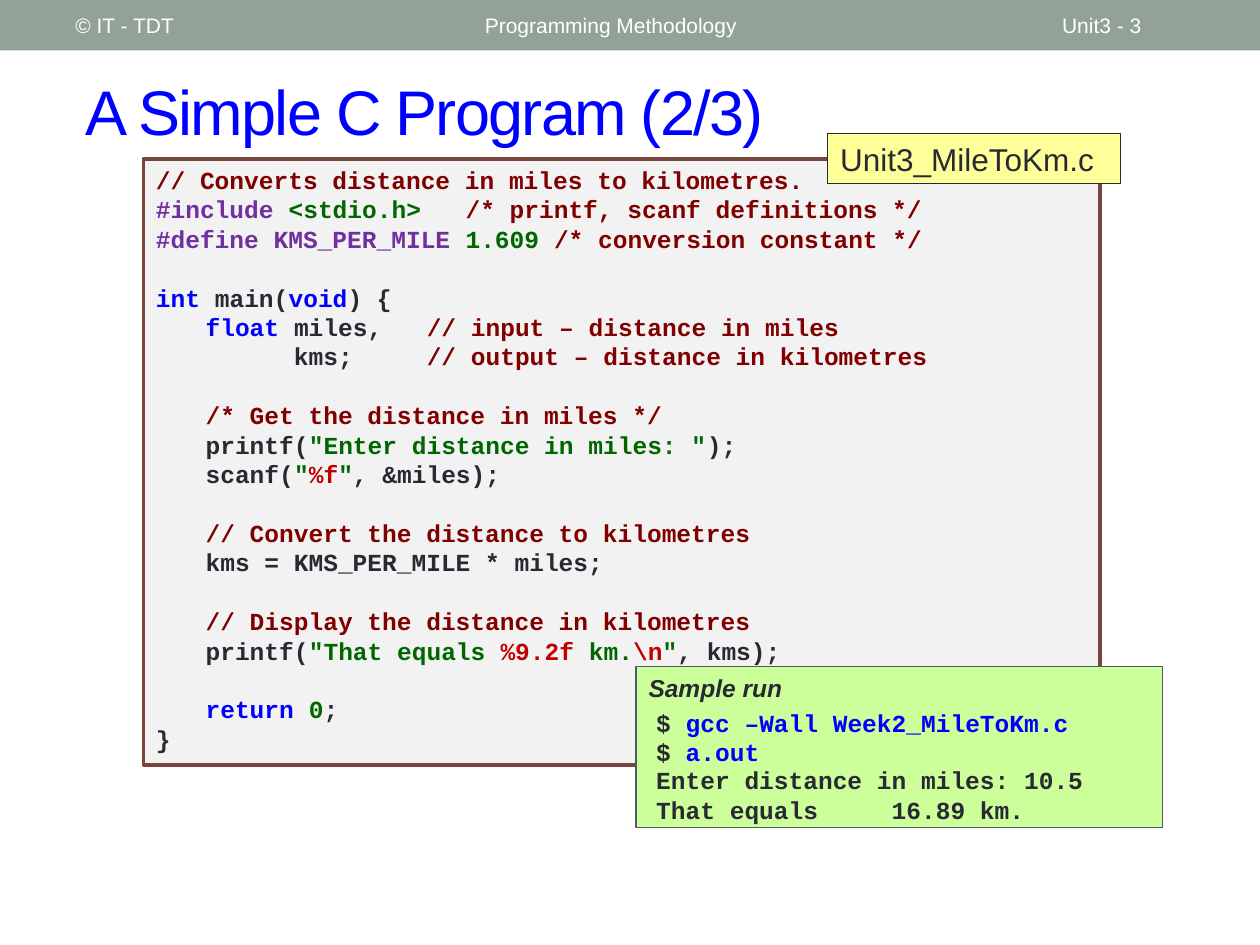
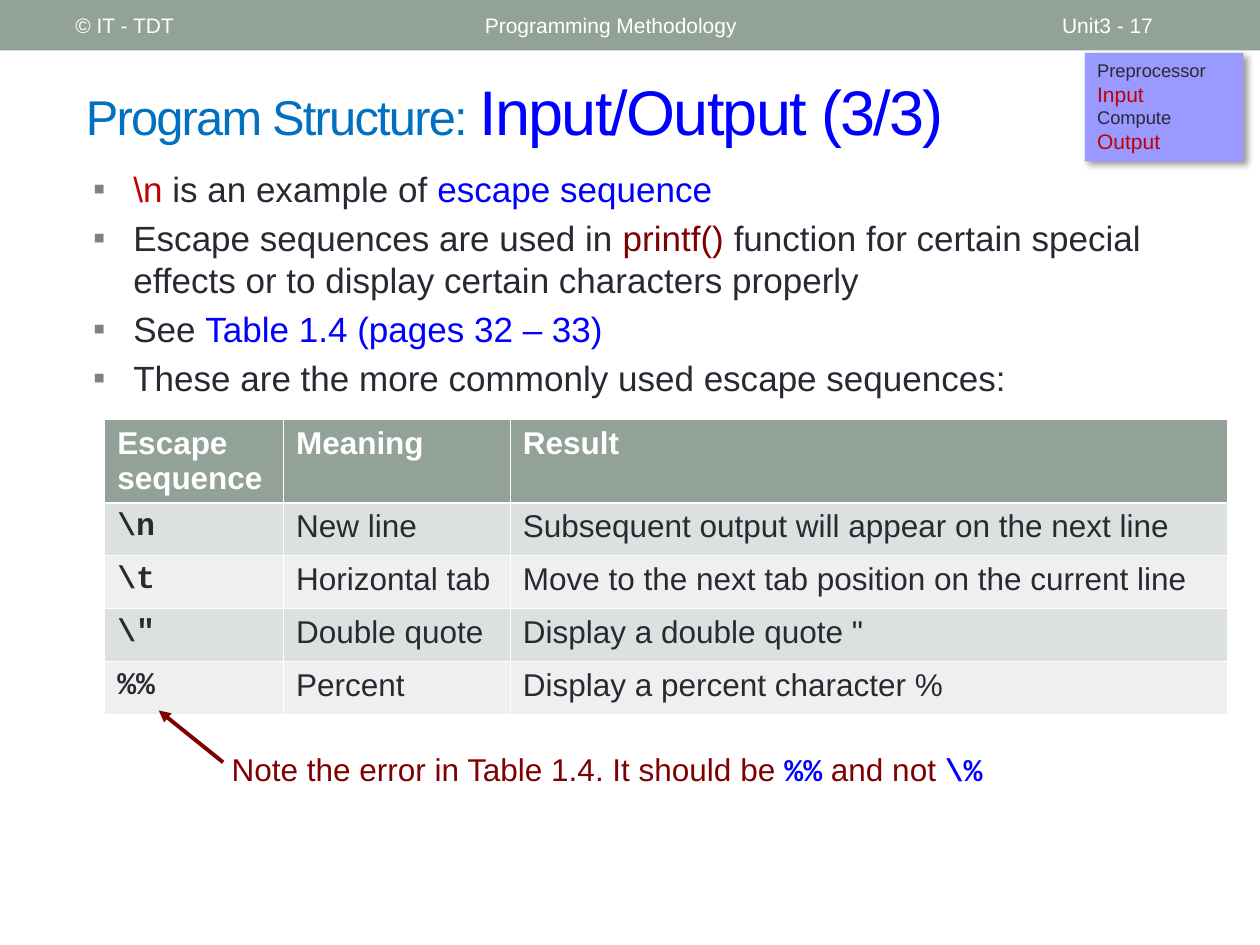
import pptx
import pptx.dml.color
import pptx.enum.shapes
import pptx.enum.text
import pptx.oxml
import pptx.oxml.ns
import pptx.util

Pt = pptx.util.Pt
ANCHOR = pptx.enum.text.MSO_ANCHOR
NS = pptx.oxml.ns.nsdecls("a")

SAGE, WHITE, INK = "93A299", "FFFFFF", "292934"
BLUE, MAROON, GREEN = "0000FF", "800000", "006600"
RED, PURPLE, SKY = "C00000", "7030A0", "0070C0"

ARIAL = {"name": "Arial", "bold": False}
COURIER = {"name": "Courier New", "bold": True}
CODE_FONT = {**COURIER, "size": Pt(14)}
CODE_LINE = 16.8

# One list of (text, colour) runs per line of code; an empty list is an empty line.
MILE_TO_KM = [
    [("// Converts distance in miles to kilometres.", MAROON)],
    [("#include ", PURPLE), ("<stdio.h>   ", GREEN), ("/* printf, scanf definitions */", MAROON)],
    [("#define KMS_PER_MILE ", PURPLE), ("1.609 ", GREEN), ("/* conversion constant */", MAROON)],
    [],
    [("int", BLUE), (" main(", INK), ("void", BLUE), (") {", INK)],
    [("\tfloat", BLUE), (" miles,   ", INK), ("// input – distance in miles", MAROON)],
    [("\t      kms;     ", INK), ("// output – distance in kilometres", MAROON)],
    [],
    [("\t/* Get the distance in miles */", MAROON)],
    [("\tprintf(", INK), ('"Enter distance in miles: "', GREEN), (");", INK)],
    [("\tscanf(", INK), ('"', GREEN), ("%f", RED), ('"', GREEN), (", &miles);", INK)],
    [],
    [("\t// Convert the distance to kilometres", MAROON)],
    [("\tkms = KMS_PER_MILE * miles;", INK)],
    [],
    [("\t// Display the distance in kilometres", MAROON)],
    [("\tprintf(", INK), ('"That equals ', GREEN), ("%9.2f ", RED), ("km.", GREEN),
     ("\\n", RED), ('"', GREEN), (", kms);", INK)],
    [],
    [("\treturn ", BLUE), ("0", GREEN), (";", INK)],
    [("}", INK)],
]

ESCAPE_POINTS = [
    [("\\n ", RED), ("is an example of ", INK), ("escape sequence", BLUE)],
    [("Escape sequences are used in ", INK), ("printf() ", MAROON),
     ("function for certain special effects or to display certain characters properly", INK)],
    [("See ", INK), ("Table 1.4 (pages 32 – 33)", BLUE)],
    [("These are the more commonly used escape sequences:", INK)],
]

ESCAPE_TABLE = [
    ("Escape sequence", "Meaning", "Result"),
    ("\\n", "New line", "Subsequent output will appear on the next line"),
    ("\\t", "Horizontal tab", "Move to the next tab position on the current line"),
    ('\\"', "Double quote", 'Display a double quote "'),
    ("%%", "Percent", "Display a percent character %"),
]


def rgb(hex_colour):
    return pptx.dml.color.RGBColor.from_string(hex_colour)


def place(shape, left, top, width, height):
    for side, value in {"left": left, "top": top, "width": width, "height": height}.items():
        setattr(shape, side, Pt(value))


def write_runs(paragraph, runs, font):
    """Add (text, colour) runs; a third item overrides the font values."""
    for text, colour, *override in runs:
        run = paragraph.add_run()
        run.text = text
        for attribute, value in {**font, **(override[0] if override else {})}.items():
            setattr(run.font, attribute, value)
        run.font.color.rgb = rgb(colour)


def write_lines(frame, lines, font, anchor=ANCHOR.TOP):
    frame.word_wrap = True
    frame.auto_size = pptx.enum.text.MSO_AUTO_SIZE.NONE
    frame.vertical_anchor = anchor
    for index, runs in enumerate(lines):
        paragraph = frame.add_paragraph() if index else frame.paragraphs[0]
        paragraph.alignment = pptx.enum.text.PP_ALIGN.LEFT
        write_runs(paragraph, runs, font)
    return frame.paragraphs


def add_text(slide, box, lines, font, anchor=ANCHOR.TOP):
    frame = slide.shapes.add_textbox(*map(Pt, box)).text_frame
    write_lines(frame, lines, font, anchor)


def add_panel(slide, box, fill, line=None, line_width=0.75):
    panel = slide.shapes.add_shape(pptx.enum.shapes.MSO_SHAPE.RECTANGLE, *map(Pt, box))
    panel.shadow.inherit = False
    panel.fill.solid()
    panel.fill.fore_color.rgb = rgb(fill)
    if line:
        panel.line.color.rgb = rgb(line)
        panel.line.width = Pt(line_width)
    else:
        panel.line.fill.background()
    return panel


def add_unit_slide(deck, layout_index, number, title_runs):
    """Add a slide with the course band and a title."""
    slide = deck.slides.add_slide(deck.slide_layouts[layout_index])
    add_panel(slide, (0, 0, 720, 28.8), SAGE)
    header = [(36, 228, "© IT - TDT"), (270, 324, "Programming Methodology"),
              (599.8, 84, f"Unit3 - {number}")]
    for left, width, text in header:
        add_text(slide, (left, 1.4, width, 26), [[(text, WHITE)]],
                 {**ARIAL, "size": Pt(12)}, ANCHOR.MIDDLE)
    title = slide.shapes.title
    place(title, 41.8, 36, 642, 54)
    write_lines(title.text_frame, [title_runs], {**ARIAL, "size": Pt(36)}, ANCHOR.MIDDLE)
    for run in title.text_frame.paragraphs[0].runs:
        run.font._element.set("spc", "-100")
    return slide


def add_code(slide, box, code):
    """Show code in a framed panel, with each empty line as space before the next."""
    frame = add_panel(slide, box, "F2F2F2", "79463D", 2.08).text_frame
    paragraphs = write_lines(frame, [runs for runs in code if runs], CODE_FONT)
    after_gap = [not before for before, runs in zip([["start"]] + code, code) if runs]
    for paragraph, gap in zip(paragraphs, after_gap):
        if gap:
            paragraph.space_before = Pt(CODE_LINE)
        paragraph._p.get_or_add_pPr().append(pptx.oxml.parse_xml(
            f'<a:tabLst {NS}><a:tab pos="{Pt(28.4)}" algn="l"/></a:tabLst>'))


def fill_bullets(body, points):
    paragraphs = write_lines(body.text_frame, points, {**ARIAL, "size": Pt(20)})
    for index, paragraph in enumerate(paragraphs):
        paragraph.space_before = Pt(4 if index else 0)
        properties = paragraph._p.get_or_add_pPr()
        for name, value in {"marL": Pt(23), "indent": Pt(-23)}.items():
            properties.set(name, str(value))
        for bullet in ('<a:buClr {}><a:srgbClr val="808080"/></a:buClr>',
                       '<a:buFont {} typeface="Arial"/>', '<a:buChar {} char="▪"/>'):
            properties.append(pptx.oxml.parse_xml(bullet.format(NS)))


def add_escape_table(slide, left, top, column_widths, row_heights):
    table = slide.shapes.add_table(
        len(ESCAPE_TABLE), len(column_widths), Pt(left), Pt(top),
        Pt(sum(column_widths)), Pt(sum(row_heights))).table
    for column, width in zip(table.columns, column_widths):
        column.width = Pt(width)
    for row, height in zip(table.rows, row_heights):
        row.height = Pt(height)
    for r, texts in enumerate(ESCAPE_TABLE):
        fill = SAGE if r == 0 else ("EEF0EF", "DCE0DE")[r % 2]
        for c, text in enumerate(texts):
            cell = table.cell(r, c)
            cell.fill.solid()
            cell.fill.fore_color.rgb = rgb(fill)
            font = {**ARIAL, "bold": True} if r == 0 else ARIAL if c else COURIER
            write_runs(cell.text_frame.paragraphs[0], [(text, INK if r else WHITE)],
                       {**font, "size": Pt(18)})


def add_arrow(slide, start, end, colour, width):
    arrow = slide.shapes.add_connector(
        pptx.enum.shapes.MSO_CONNECTOR.STRAIGHT, *map(Pt, start + end))
    arrow.line.color.rgb = rgb(colour)
    arrow.line.width = Pt(width)
    arrow.line._get_or_add_ln().append(
        pptx.oxml.parse_xml(f'<a:tailEnd {NS} type="triangle"/>'))
    arrow._element.spPr.append(pptx.oxml.parse_xml(f"<a:effectLst {NS}/>"))


def add_stage_box(slide, box, stages, current):
    """List the program stages, with the current ones larger and red."""
    panel = add_panel(slide, box, "9999FF")
    panel._element.spPr.find(pptx.oxml.ns.qn("a:effectLst")).append(pptx.oxml.parse_xml(
        f'<a:outerShdw {NS} blurRad="{Pt(4)}" dist="{Pt(3)}" dir="2700000" algn="tl" '
        'rotWithShape="0"><a:srgbClr val="000000"><a:alpha val="40000"/></a:srgbClr>'
        '</a:outerShdw>'))
    lines = [[(stage, RED, {"size": Pt(12)}) if stage in current else (stage, INK)]
             for stage in stages]
    write_lines(panel.text_frame, lines, {**ARIAL, "size": Pt(10.5)})


def build_program_slide(deck):
    slide = add_unit_slide(deck, 5, 3, [("A Simple C Program (2/3)", BLUE)])
    add_code(slide, (82, 90.7, 546.5, 346.3), MILE_TO_KM)
    file_tag = add_panel(slide, (473, 76.3, 167.5, 28.8), "FFFF99", INK)
    write_lines(file_tag.text_frame, [[("Unit3_MileToKm.c", INK)]], {**ARIAL, "size": Pt(18)})
    sample_run = add_panel(slide, (363.5, 381, 301, 92), "CCFF99", "4C5A6A")
    write_lines(sample_run.text_frame, [[("Sample run", INK)]],
                {"name": "Arial", "size": Pt(14), "bold": True, "italic": True})
    commands = [[("$ ", INK), (command, BLUE)]
                for command in ("gcc –Wall Week2_MileToKm.c", "a.out")]
    output = [[(line, INK)]
              for line in ("Enter distance in miles: 10.5", "That equals     16.89 km.")]
    for top, lines in ((401, commands), (433.8, output)):
        add_text(slide, (367.9, top, 273, 41), lines, CODE_FONT)


def build_escape_slide(deck):
    slide = add_unit_slide(deck, 1, 17, [
        ("Program Structure: ", SKY, {"size": Pt(27.9)}), ("Input/Output (3/3)", BLUE)])
    body = slide.placeholders[1]
    place(body, 46, 92.2, 648, 148.3)
    fill_bullets(body, ESCAPE_POINTS)
    add_escape_table(slide, 59.8, 239.8, (102.2, 129.6, 409.7), [47] + [30.24] * 4)
    add_arrow(slide, (127.5, 435.6), (90.7, 406), MAROON, 2.25)
    add_text(slide, (125.3, 424.8, 506, 28.8), [[
        ("Note the error in Table 1.4. It should be ", MAROON), ("%%", BLUE, COURIER),
        (" and not ", MAROON), ("\\%", BLUE, COURIER)]], {**ARIAL, "size": Pt(18)})
    add_stage_box(slide, (619.9, 30.2, 90.7, 62),
                  ("Preprocessor", "Input", "Compute", "Output"), ("Input", "Output"))


def main():
    deck = pptx.Presentation()
    deck.slide_width, deck.slide_height = Pt(720), Pt(540)
    build_program_slide(deck)
    build_escape_slide(deck)
    deck.save("out.pptx")


if __name__ == "__main__":
    main()
